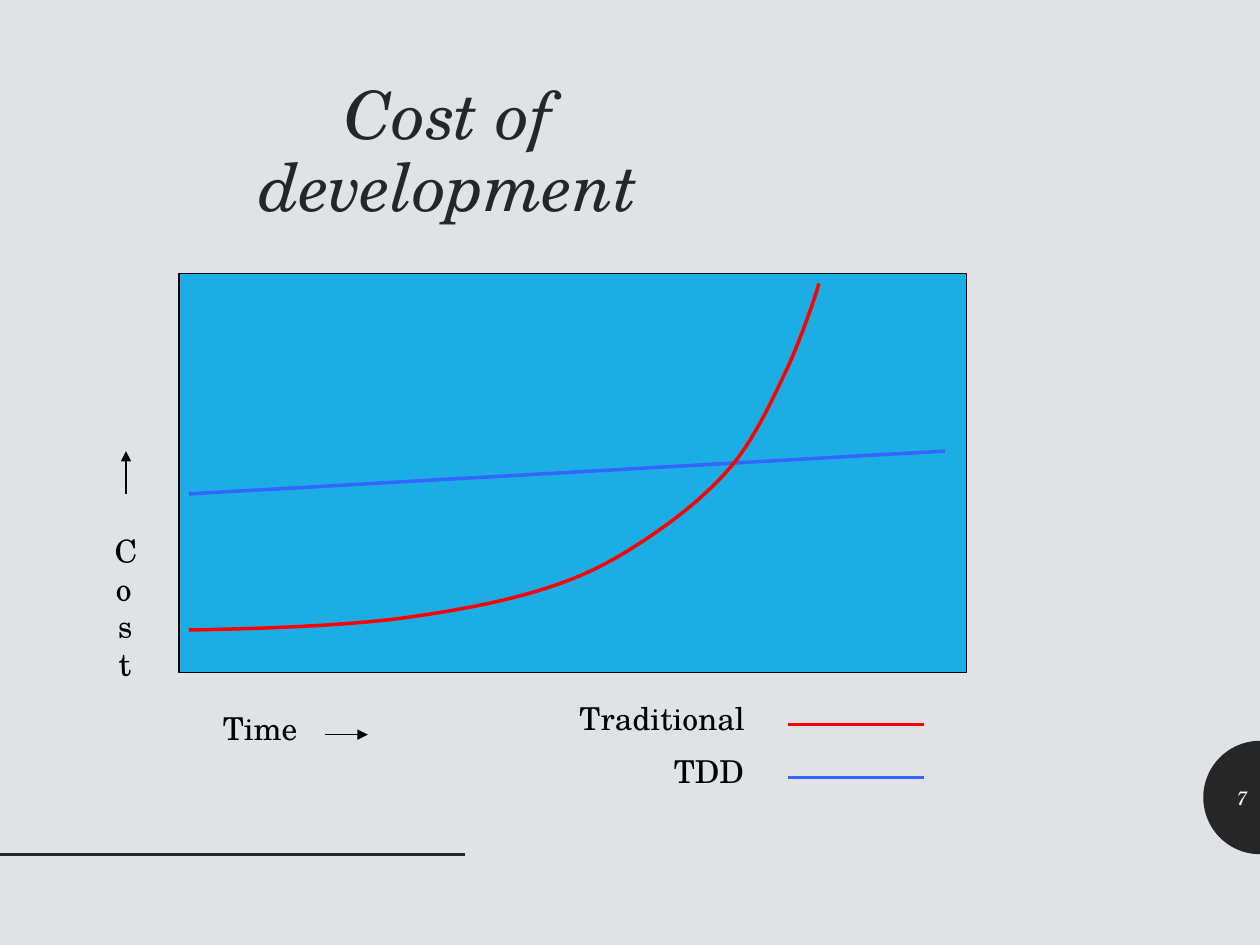
import math

import pptx
import pptx.dml.color
import pptx.enum.shapes
import pptx.enum.text
import pptx.oxml
import pptx.oxml.ns
import pptx.util

Inches = pptx.util.Inches
Pt = pptx.util.Pt
ALIGN = pptx.enum.text.PP_ALIGN
ANCHOR = pptx.enum.text.MSO_ANCHOR

COLORS = {
    "background": "DFE3E5",
    "dark": "262626",
    "white": "FFFFFF",
    "black": "000000",
    "plot": "1CADE4",
    "traditional": "FF0000",
    "tdd": "3366FF",
}

TRADITIONAL_CURVE = [
    (1.5, 5), (2.06, 4.99), (2.61, 4.97), (3.08, 4.92),
    (3.56, 4.86), (3.99, 4.78), (4.33, 4.67),
    (4.68, 4.56), (4.92, 4.42), (5.17, 4.25),
    (5.42, 4.08), (5.65, 3.89), (5.83, 3.67),
    (6.01, 3.44), (6.14, 3.15), (6.25, 2.92),
    (6.36, 2.68), (6.47, 2.36), (6.5, 2.25),
]


def rgb(name):
    return pptx.dml.color.RGBColor.from_string(COLORS[name])


def write_text(frame, text, font="TeX Gyre Schola", size=18, color="black",
               italic=False, align=ALIGN.LEFT, line_spacing=1.0):
    paragraph = frame.paragraphs[0]
    paragraph.alignment = align
    paragraph.line_spacing = line_spacing
    run = paragraph.add_run()
    run.text = text
    run.font.name = font
    run.font.size = Pt(size)
    run.font.italic = italic
    run.font.color.rgb = rgb(color)


def bezier_points(controls, steps=16):
    points = [controls[0]]
    for start in range(0, len(controls) - 1, 3):
        segment = controls[start:start + 4]
        for step in range(1, steps + 1):
            t = step / steps
            weights = [math.comb(3, k) * (1 - t) ** (3 - k) * t ** k for k in range(4)]
            points.append(tuple(
                sum(weight * point[axis] for weight, point in zip(weights, segment))
                for axis in (0, 1)
            ))
    return points


def left_half_circle(center_x, center_y, radius, steps=48):
    angles = [math.pi * (0.5 + step / steps) for step in range(steps + 1)]
    return [(center_x + radius * math.cos(angle), center_y + radius * math.sin(angle))
            for angle in angles]


class SlideBuilder:
    def __init__(self, slide):
        self.slide = slide
        fill = slide.background.fill
        fill.solid()
        fill.fore_color.rgb = rgb("background")

    def style(self, shape, fill=None, line=None, width=0.75):
        shape.shadow.inherit = False
        if fill:
            shape.fill.solid()
            shape.fill.fore_color.rgb = rgb(fill)
        else:
            shape.fill.background()
        if line:
            shape.line.color.rgb = rgb(line)
            shape.line.width = Pt(width)
        else:
            shape.line.fill.background()

    def text(self, text, left, top, width, height, anchor=ANCHOR.TOP, rotation=0, **text_format):
        shape = self.slide.shapes.add_textbox(
            Inches(left), Inches(top), Inches(width), Inches(height))
        shape.rotation = rotation
        shape.text_frame.word_wrap = True
        shape.text_frame.vertical_anchor = anchor
        write_text(shape.text_frame, text, **text_format)

    def rectangle(self, left, top, width, height, **shape_format):
        shape = self.slide.shapes.add_shape(
            pptx.enum.shapes.MSO_SHAPE.RECTANGLE,
            Inches(left), Inches(top), Inches(width), Inches(height))
        self.style(shape, **shape_format)

    def freeform(self, points, close=False, **shape_format):
        corners = [(Inches(x), Inches(y)) for x, y in points]
        builder = self.slide.shapes.build_freeform(*corners[0])
        builder.add_line_segments(corners[1:], close=close)
        self.style(builder.convert_to_shape(), **shape_format)

    def line(self, start, end, color, width=2, arrow=False):
        connector = self.slide.shapes.add_connector(
            pptx.enum.shapes.MSO_CONNECTOR.STRAIGHT,
            *[Inches(value) for value in (*start, *end)])
        connector.line.color.rgb = rgb(color)
        connector.line.width = Pt(width)
        if arrow:
            tail = pptx.oxml.parse_xml(
                f'<a:tailEnd {pptx.oxml.ns.nsdecls("a")} type="triangle"/>')
            connector.line._get_or_add_ln().append(tail)
        effects = pptx.oxml.parse_xml(f'<a:effectLst {pptx.oxml.ns.nsdecls("a")}/>')
        connector._element.spPr.append(effects)


def main():
    presentation = pptx.Presentation()
    presentation.slide_width = Inches(10)
    presentation.slide_height = Inches(7.5)
    builder = SlideBuilder(presentation.slides.add_slide(presentation.slide_layouts[6]))

    builder.freeform(left_half_circle(10, 6.33, 0.45), close=True, fill="dark")
    builder.line((0, 6.78), (3.69, 6.78), "dark")
    builder.text("Cost of development", 1.5, 0.6, 4.12, 1.3, size=38, color="dark",
                 italic=True, align=ALIGN.CENTER, line_spacing=0.9)
    builder.text("7", 9.55, 6.13, 0.45, 0.4, anchor=ANCHOR.MIDDLE, size=11,
                 color="white", italic=True, align=ALIGN.RIGHT)

    builder.rectangle(1.42, 2.17, 6.25, 3.17, fill="plot", line="black")
    builder.text("Time", 1.67, 5.58, 2.18, 0.4)
    builder.text("Cost", 0.83, 4.17, 0.33, 1.3, rotation=357.7)
    builder.line((1.5, 3.92), (7.5, 3.58), "tdd")
    builder.line((1, 3.92), (1, 3.58), "black", width=0.75, arrow=True)
    builder.line((2.58, 5.83), (2.92, 5.83), "black", width=0.75, arrow=True)

    legend = [("Traditional", "traditional", 4.5, 1.67), ("TDD", "tdd", 5.25, 0.83)]
    for row, (label, color, left, width) in enumerate(legend):
        top = 5.5 + 0.42 * row
        builder.line((6.25, top + 0.25), (7.33, top + 0.25), color)
        builder.text(label, left, top, width, 0.4)

    builder.freeform(bezier_points(TRADITIONAL_CURVE), line="traditional", width=2)
    presentation.save("out.pptx")


if __name__ == "__main__":
    main()
